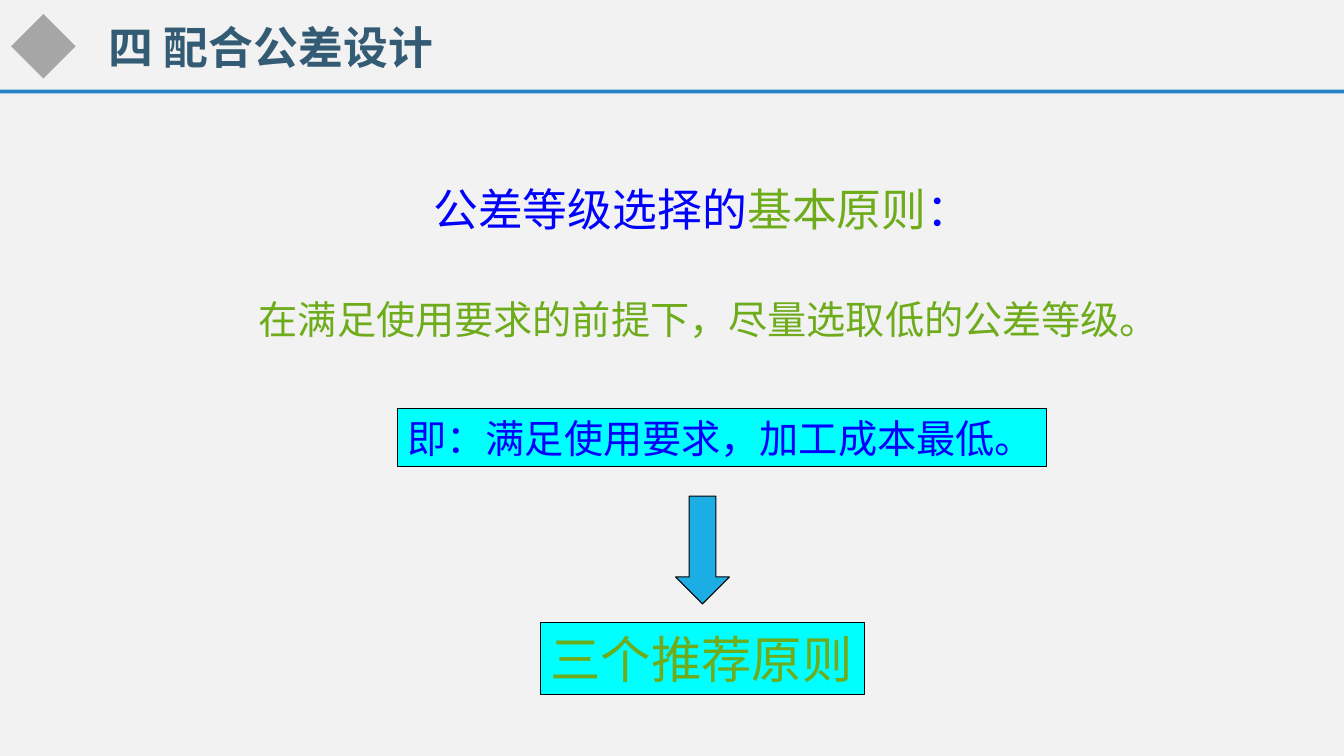
"""Build the slide on the basic principle for choosing tolerance grades."""
from lxml import etree
from pptx import Presentation
from pptx.dml.color import RGBColor
from pptx.enum import shapes, text
from pptx.oxml import ns
from pptx.util import Pt

FONT = "Noto Sans CJK SC"
PALE_GREY = RGBColor(0xF2, 0xF2, 0xF2)
GREY = RGBColor(0xA6, 0xA6, 0xA6)
RULE_BLUE = RGBColor(0x26, 0x83, 0xC6)
ARROW_BLUE = RGBColor(0x1C, 0xAD, 0xE4)
TITLE_BLUE = RGBColor(0x33, 0x5B, 0x74)
BLUE = RGBColor(0x00, 0x00, 0xFF)
GREEN = RGBColor(0x6E, 0xAC, 0x1C)
CYAN = RGBColor(0x00, 0xFF, 0xFF)
BLACK = RGBColor(0x00, 0x00, 0x00)


def write(frame, spans, size, bold=False, wrap=False):
    """Fill a frame with one left-aligned paragraph of coloured spans."""
    frame.word_wrap = wrap
    frame.auto_size = text.MSO_AUTO_SIZE.NONE
    frame.vertical_anchor = text.MSO_ANCHOR.MIDDLE
    para = frame.paragraphs[0]
    para.alignment = text.PP_ALIGN.LEFT
    for wording, color in spans:
        span = para.add_run()
        span.text = wording
        for name, value in {"name": FONT, "size": Pt(size), "bold": bold}.items():
            setattr(span.font, name, value)
        span.font.color.rgb = color
        latin = span.font._element.find(ns.qn("a:latin"))
        latin.addnext(etree.Element(ns.qn("a:ea"), typeface=FONT))


def draw(kind, place, fill, outlined=False):
    """Add a flat preset shape, with a thin black outline if asked."""
    shape = page.shapes.add_shape(kind, *map(Pt, place))
    shape.shadow.inherit = False
    shape.fill.solid()
    shape.fill.fore_color.rgb = fill
    if outlined:
        shape.line.color.rgb = BLACK
        shape.line.width = Pt(0.75)
    else:
        shape.line.fill.background()
    return shape


deck = Presentation()
deck.slide_width, deck.slide_height = Pt(960), Pt(540)
page = deck.slides.add_slide(deck.slide_layouts[5])
page.background.fill.solid()
page.background.fill.fore_color.rgb = PALE_GREY

draw(shapes.MSO_SHAPE.DIAMOND, (8, 10, 46, 46), GREY)
draw(shapes.MSO_SHAPE.RECTANGLE, (0, 64, 960, 2.8), RULE_BLUE)

title = page.shapes.title
for name, value in {"left": 70.6, "top": -2.9, "width": 427.7, "height": 72}.items():
    setattr(title, name, Pt(value))
write(title.text_frame, [("四 配合公差设计", TITLE_BLUE)], 32, bold=True, wrap=True)

statements = [
    ((302.4, 126, 398.4, 45.4), 32,
     [("公差等级选择的", BLUE), ("基本原则", GREEN), ("：", BLUE)]),
    ((177.8, 207.4, 658.8, 41), 28,
     [("在满足使用要求的前提下，尽量选取低的公差等级。", GREEN)]),
]
for place, size, spans in statements:
    box = page.shapes.add_textbox(*map(Pt, place))
    write(box.text_frame, spans, size)

panels = [
    ((284, 291.8, 463.4, 41.6), 28, "即：满足使用要求，加工成本最低。", BLUE),
    ((386, 444.8, 231.4, 51.2), 36, "三个推荐原则", GREEN),
]
for place, size, wording, color in panels:
    panel = draw(shapes.MSO_SHAPE.RECTANGLE, place, CYAN, outlined=True)
    write(panel.text_frame, [(wording, color)], size)

arrow = draw(shapes.MSO_SHAPE.DOWN_ARROW, (482.6, 354.4, 38.4, 77), ARROW_BLUE, outlined=True)
arrow.adjustments[0] = 0.5
arrow.adjustments[1] = 0.5

deck.save("out.pptx")
